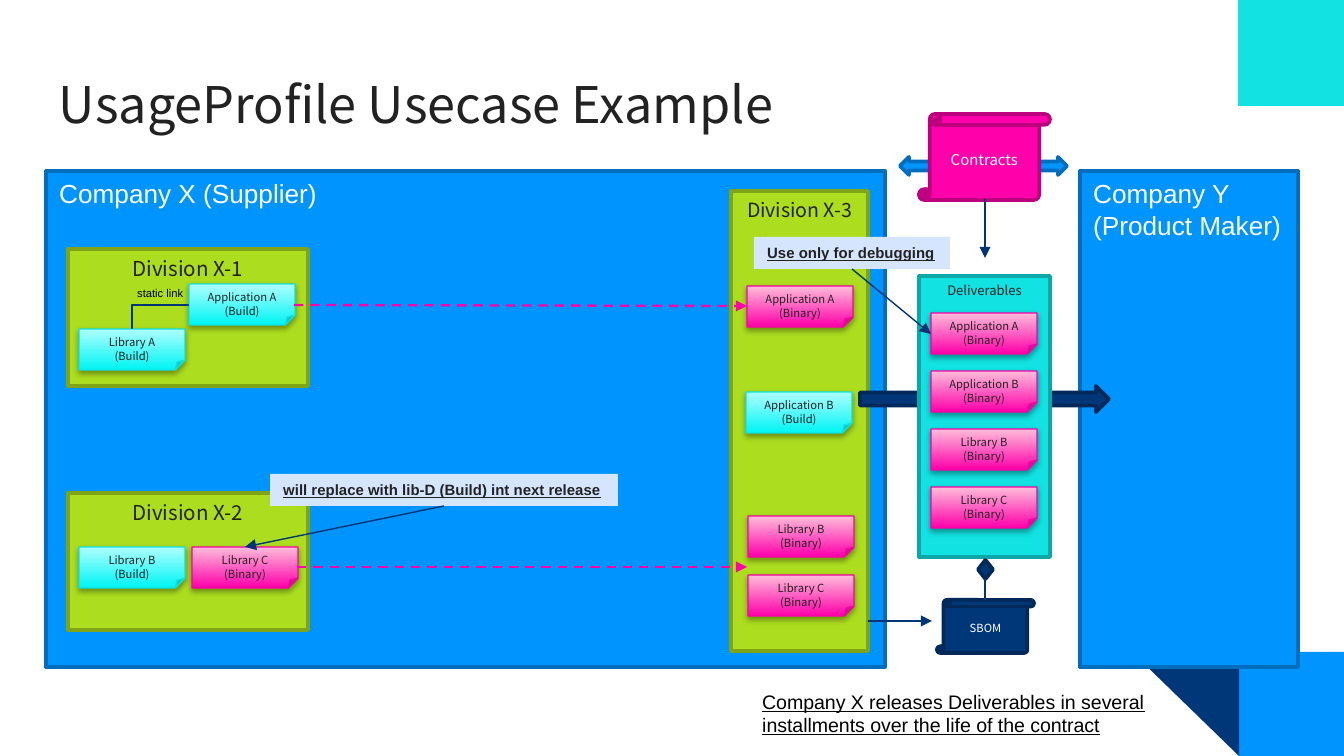
from dataclasses import dataclass
from typing import NamedTuple, Optional

from lxml import etree
from pptx import Presentation
from pptx.dml.color import RGBColor
from pptx.enum.dml import MSO_LINE_DASH_STYLE as Dash
from pptx.enum.shapes import MSO_CONNECTOR as Conn, MSO_SHAPE as Geo
from pptx.enum.text import MSO_ANCHOR as Anchor, MSO_AUTO_SIZE as Auto, PP_ALIGN as Align
from pptx.oxml import parse_xml
from pptx.oxml.ns import nsdecls, qn
from pptx.util import Emu, Pt

PX = 914400 / 134.4


@dataclass(frozen=True)
class Theme:
    sans: str = "Arial"
    cjk: str = "Noto Sans CJK JP"
    ink: str = "222222"
    black: str = "000000"
    white: str = "FFFFFF"
    blue: str = "0094FF"
    blue_edge: str = "006DBD"
    navy: str = "003778"
    navy_edge: str = "002959"
    wire: str = "003675"
    teal: str = "12E2E2"
    teal_edge: str = "0DA7A7"
    green: str = "ACDE1F"
    green_edge: str = "7FA417"
    pink: str = "FF00AA"
    pink_edge: str = "BD007E"
    label: str = "D6E5FE"
    title_pt: float = 27
    company_pt: float = 14
    division_pt: float = 11
    body_pt: float = 10.5
    callout_pt: float = 8
    deliver_pt: float = 7
    note_pt: float = 6


T = Theme()


class Box(NamedTuple):
    x: int
    y: int
    w: int
    h: int


class NoteStyle(NamedTuple):
    kind: str
    low: str
    high: str
    edge: str


BUILD = NoteStyle("(Build)", "00F4F4", "AFFFFF", "0DE2E2")
BINARY = NoteStyle("(Binary)", T.pink, "FFBDDA", "F900A6")


class Note(NamedTuple):
    x: int
    y: int
    name: str
    style: NoteStyle


class Division(NamedTuple):
    box: Box
    name: str
    size: float
    notes: list


def px(*values: int) -> list:
    return [Emu(round(v * PX)) for v in values]


prs = Presentation()
prs.slide_width, prs.slide_height = px(1344, 756)
shapes = prs.slides.add_slide(prs.slide_layouts[6]).shapes


def write(sp, text: str, *, size: float, font: str = T.cjk, color: str = T.ink,
          align=Align.LEFT, anchor=Anchor.TOP, bold: bool = False,
          underline: bool = False, wrap: bool = True, inset: Optional[int] = None) -> None:
    tf = sp.text_frame
    tf.word_wrap = wrap
    tf.auto_size = Auto.NONE if wrap else Auto.SHAPE_TO_FIT_TEXT
    tf.vertical_anchor = anchor
    if inset is not None:
        tf.margin_left = tf.margin_right = tf.margin_top = tf.margin_bottom = px(inset)[0]
    for i, line_text in enumerate(text.split("\n")):
        p = tf.paragraphs[0] if i == 0 else tf.add_paragraph()
        p.alignment = align
        r = p.add_run()
        r.text = line_text
        f = r.font
        f.name, f.size, f.bold, f.underline = font, Pt(size), bold, underline
        f.color.rgb = RGBColor.from_string(color)
        etree.SubElement(r._r.get_or_add_rPr(), qn("a:ea")).set("typeface", font)


def shape(geo, box: Box, fill: str, edge: Optional[str] = None, width: float = 2):
    sp = shapes.add_shape(geo, *px(*box))
    sp.shadow.inherit = False
    sp.fill.solid()
    sp.fill.fore_color.rgb = RGBColor.from_string(fill)
    if edge:
        sp.line.color.rgb = RGBColor.from_string(edge)
        sp.line.width = Pt(width)
    else:
        sp.line.fill.background()
    return sp


def text_box(box: Box, text: str, **fmt) -> None:
    write(shapes.add_textbox(*px(*box)), text, **fmt)


def line(x1: int, y1: int, x2: int, y2: int, *, color: str = T.wire, width: float = 0.75,
         dashed: bool = False, arrow: bool = True, bent: bool = False) -> None:
    c = shapes.add_connector(Conn.ELBOW if bent else Conn.STRAIGHT, *px(x1, y1, x2, y2))
    c.line.color.rgb = RGBColor.from_string(color)
    c.line.width = Pt(width)
    if dashed:
        c.line.dash_style = Dash.DASH
    if arrow:
        etree.SubElement(c.line._get_or_add_ln(), qn("a:tailEnd")).set("type", "triangle")
    pr = c._element.spPr
    if bent:
        pr.find(qn("a:prstGeom")).set("prst", "bentConnector2")
    etree.SubElement(pr, qn("a:effectLst"))


def draw_note(n: Note) -> None:
    sp = shape(Geo.FOLDED_CORNER, Box(n.x, n.y, 106, 41), n.style.low, n.style.edge, 0.75)
    pr = sp._element.spPr
    fold = etree.SubElement(pr.find(qn("a:prstGeom")).find(qn("a:avLst")), qn("a:gd"))
    fold.set("name", "adj")
    fold.set("fmla", "val 23800")
    sp.fill.gradient()
    sp.fill.gradient_angle = 90
    for stop, color in zip(sp.fill.gradient_stops, (n.style.low, n.style.high)):
        stop.color.rgb = RGBColor.from_string(color)
    pr.find(qn("a:effectLst")).append(parse_xml(
        f'<a:outerShdw {nsdecls("a")} blurRad="{Pt(3.1)}" dist="{Pt(1.8)}" dir="5400000" '
        'rotWithShape="0"><a:srgbClr val="000000"><a:alpha val="35000"/></a:srgbClr></a:outerShdw>'))
    write(sp, f"{n.name}\n{n.style.kind}", size=T.note_pt, align=Align.CENTER)


def draw_division(d: Division) -> None:
    sp = shape(Geo.RECTANGLE, d.box, T.green, T.green_edge)
    write(sp, d.name, size=d.size, align=Align.CENTER)
    for n in d.notes:
        draw_note(n)


def draw_company(box: Box, label_w: int, label_h: int, name: str) -> None:
    shape(Geo.RECTANGLE, box, T.blue, T.blue_edge)
    text_box(Box(box.x, box.y, label_w, label_h), name, size=T.company_pt,
             font=T.sans, color=T.white, wrap=False)


def draw_callout(box: Box, text: str) -> None:
    write(shape(Geo.RECTANGLE, box, T.label), text, size=T.callout_pt, font=T.sans,
          bold=True, underline=True, wrap=False)


# Corner decoration
shape(Geo.RECTANGLE, Box(1239, 652, 105, 104), T.blue)
shape(Geo.RIGHT_TRIANGLE, Box(1132, 652, 107, 104), T.navy).rotation = 180
shape(Geo.RECTANGLE, Box(1238, 0, 106, 106), T.teal)

# Title and companies
draw_company(Box(1080, 171, 218, 496), 215, 77, "Company Y\n(Product Maker)")
text_box(Box(46, 60, 1253, 89), "UsageProfile Usecase Example", size=T.title_pt, inset=13)
draw_company(Box(46, 171, 839, 496), 286, 46, "Company X (Supplier)")

# Divisions and their software
DIVISIONS = [
    Division(Box(731, 191, 137, 460), "Division X-3", T.body_pt, [
        Note(747, 286, "Application A", BINARY), Note(746, 392, "Application B", BUILD),
        Note(748, 516, "Library B", BINARY), Note(748, 575, "Library C", BINARY)]),
    Division(Box(68, 249, 240, 137), "Division X-1", T.division_pt, [
        Note(79, 329, "Library A", BUILD), Note(189, 284, "Application A", BUILD)]),
    Division(Box(68, 493, 240, 137), "Division X-2", T.division_pt, [
        Note(79, 547, "Library B", BUILD), Note(192, 547, "Library C", BINARY)]),
]
for d in DIVISIONS:
    draw_division(d)
line(189, 305, 132, 329, arrow=False, bent=True)
text_box(Box(124, 280, 74, 27), "static link", size=T.note_pt, font=T.sans,
         color=T.black, wrap=False)
for x1, y1, y2 in ((294, 305, 306), (297, 567, 567)):
    line(x1, y1, 747, y2, color=T.pink, width=1.25, dashed=True)

# Deliverables
shape(Geo.RIGHT_ARROW, Box(860, 386, 249, 26), T.navy, T.navy_edge)
sp = shape(Geo.RECTANGLE, Box(919, 276, 131, 281), T.teal, T.teal_edge)
write(sp, "Deliverables", size=T.deliver_pt, align=Align.CENTER)
for i, name in enumerate(("Application A", "Application B", "Library B", "Library C")):
    draw_note(Note(931, 313 + 58 * i, name, BINARY))

# Callouts
draw_callout(Box(754, 237, 196, 32), "Use only for debugging")
line(852, 269, 931, 334)
draw_callout(Box(270, 474, 348, 32), "will replace with lib-D (Build) int next release")
line(444, 506, 245, 547)

# SBOM, contracts and release remark
centered = dict(color=T.white, align=Align.CENTER, anchor=Anchor.MIDDLE)
sp = shape(Geo.VERTICAL_SCROLL, Box(937, 600, 97, 53), T.navy, T.navy_edge)
write(sp, "SBOM", size=T.note_pt, **centered)
shape(Geo.DIAMOND, Box(978, 560, 15, 19), T.navy, T.navy_edge)
line(985, 600, 985, 579, arrow=False)
line(868, 621, 932, 621)
text_box(Box(749, 683, 417, 63),
         "Company X releases Deliverables in several installments over the life of the contract",
         size=T.body_pt, font=T.sans, color=T.black, underline=True)
shape(Geo.LEFT_RIGHT_ARROW, Box(900, 157, 167, 18), T.blue, T.blue_edge)
sp = shape(Geo.VERTICAL_SCROLL, Box(919, 114, 131, 86), T.pink, T.pink_edge)
write(sp, "Contracts", size=T.callout_pt, **centered)
line(985, 199, 985, 258)

prs.save("out.pptx")
